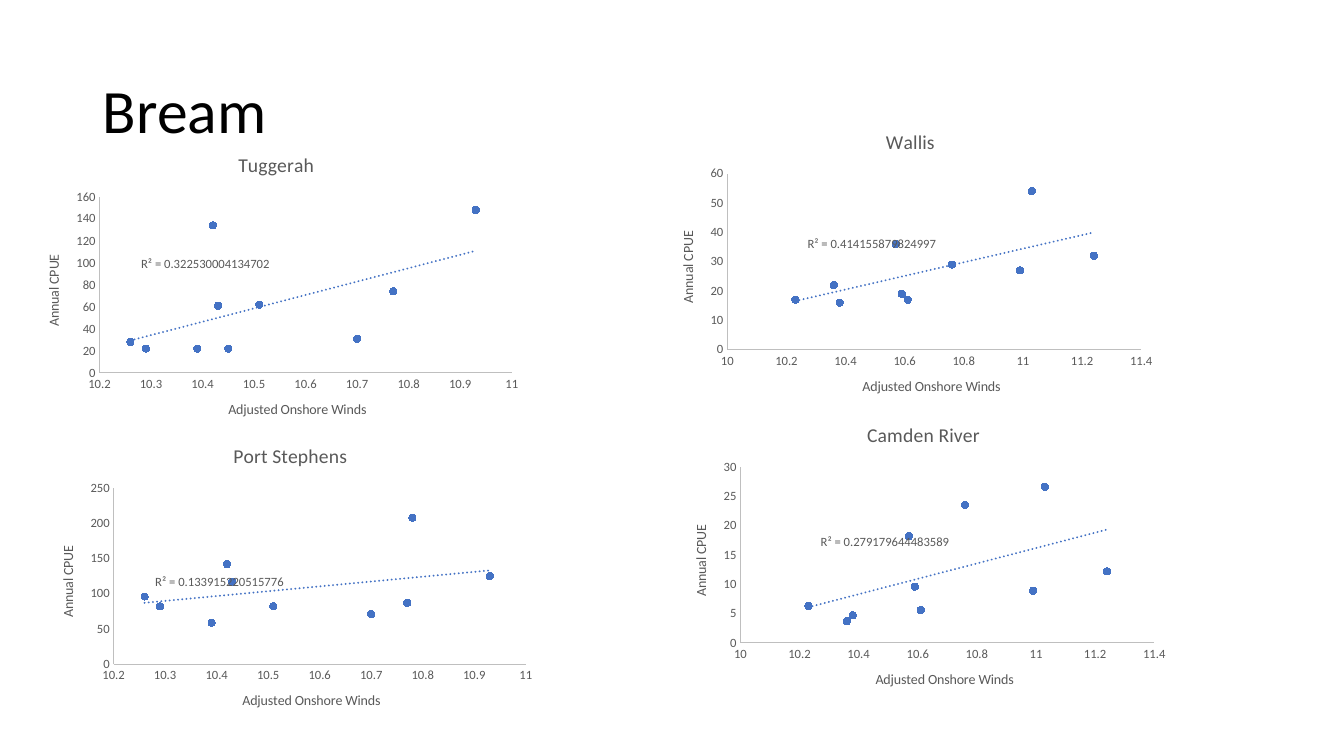
from lxml.etree import fromstring
from pptx import Presentation
from pptx.chart.data import XyChartData
from pptx.dml.color import RGBColor
from pptx.enum.chart import XL_CHART_TYPE, XL_MARKER_STYLE, XL_TICK_MARK
from pptx.enum.text import MSO_ANCHOR, PP_ALIGN
from pptx.oxml.ns import qn
from pptx.util import Inches, Pt

BLACK = RGBColor(0x00, 0x00, 0x00)
GREY = RGBColor(0x59, 0x59, 0x59)
AXIS_GREY = RGBColor(0xBF, 0xBF, 0xBF)
BLUE = RGBColor(0x44, 0x72, 0xC4)
FONT = "Calibri"
CHART_WIDTH, CHART_HEIGHT = Inches(5), Inches(3)
FIT_WIDTH, FIT_HEIGHT = Inches(1.5), Inches(0.2)

SOUTH_RANGE = (10.2, 11, 0.1)
NORTH_RANGE = (10, 11.4, 0.2)
NORTH_WINDS = (10.61, 10.23, 10.38, 10.36, 10.99, 11.24, 10.59, 10.57, 10.76, 11.03)
ESTUARIES = [
    ("Tuggerah", (0.24, 1.35), "0.322530004134702", (1.16, 1.16),
     SOUTH_RANGE, (0, 160, 20),
     (10.45, 10.7, 10.39, 10.26, 10.29, 10.77, 10.93, 10.43, 10.51, 10.42),
     (22, 31, 22, 28, 22, 74, 148, 61, 62, 134)),
    ("Wallis", (6.53, 1.12), "0.414155879824997", (1.48, 1.2),
     NORTH_RANGE, (0, 60, 10), NORTH_WINDS,
     (17, 17, 16, 22, 27, 32, 19, 36, 29, 54)),
    ("Port Stephens", (0.38, 4.24), "0.133915220515776", (1.16, 1.43),
     SOUTH_RANGE, (0, 250, 50),
     (10.7, 10.39, 10.26, 10.29, 10.77, 10.93, 10.43, 10.51, 10.42, 10.78),
     (71, 59, 96, 82, 87, 125, 117, 82, 142, 208)),
    ("Camden River", (6.66, 4.03), "0.279179644483589", (1.48, 1.24),
     NORTH_RANGE, (0, 30, 5), NORTH_WINDS,
     (5.6, 6.3, 4.7, 3.7, 8.9, 12.2, 9.6, 18.2, 23.5, 26.6)),
]

TRENDLINE = f"""
<c:trendline xmlns:c="http://schemas.openxmlformats.org/drawingml/2006/chart"
             xmlns:a="http://schemas.openxmlformats.org/drawingml/2006/main">
  <c:spPr><a:ln w="19050" cap="rnd">
    <a:solidFill><a:srgbClr val="{BLUE}"/></a:solidFill><a:prstDash val="sysDot"/>
  </a:ln></c:spPr>
  <c:trendlineType val="linear"/><c:dispRSqr val="0"/><c:dispEq val="0"/>
</c:trendline>"""


def style_font(font, size, colour):
    font.name, font.size, font.bold = FONT, Pt(size), False
    font.color.rgb = colour


def add_span(frame, text, size, colour):
    span = frame.paragraphs[0].add_run()
    span.text = text
    style_font(span.font, size, colour)


def add_heading(page, text, box):
    title = page.shapes.title
    title.left, title.top, title.width, title.height = box
    frame = title.text_frame
    frame.word_wrap = True
    frame.vertical_anchor = MSO_ANCHOR.MIDDLE
    frame.paragraphs[0].alignment = PP_ALIGN.LEFT
    frame.paragraphs[0].line_spacing = 0.9
    add_span(frame, text, 44, BLACK)


def style_axis(axis, text, scale):
    axis.minimum_scale, axis.maximum_scale, axis.major_unit = scale
    axis.has_major_gridlines = False
    axis.major_tick_mark = axis.minor_tick_mark = XL_TICK_MARK.NONE
    axis.format.line.color.rgb = AXIS_GREY
    axis.format.line.width = Pt(0.75)
    style_font(axis.tick_labels.font, 9, GREY)
    add_span(axis.axis_title.text_frame, text, 10, GREY)


def style_series(series):
    series.format.line.fill.background()
    marker = series.marker
    marker.style, marker.size = XL_MARKER_STYLE.CIRCLE, 5
    marker.format.fill.solid()
    marker.format.fill.fore_color.rgb = BLUE
    marker.format.line.color.rgb = BLUE
    series._element.find(qn("c:xVal")).addprevious(fromstring(TRENDLINE))


def add_estuary_chart(page, box, name, wind_scale, catch_scale, winds, catches):
    data = XyChartData()
    points = data.add_series("Series 1")
    for wind, catch in zip(winds, catches):
        points.add_data_point(wind, catch)
    chart = page.shapes.add_chart(XL_CHART_TYPE.XY_SCATTER, *box, data).chart
    chart.has_legend = False
    style_font(chart.font, 10, BLACK)
    add_span(chart.chart_title.text_frame, name, 14, GREY)
    chart.plots[0].vary_by_categories = False
    style_series(chart.plots[0].series[0])
    style_axis(chart.category_axis, "Adjusted Onshore Winds", wind_scale)
    style_axis(chart.value_axis, "Annual CPUE", catch_scale)
    vertical_title = chart.value_axis.axis_title._element
    vertical_title.find(".//" + qn("a:bodyPr")).set("rot", "-5400000")


def add_fit_label(page, box, fit):
    frame = page.shapes.add_textbox(*box).text_frame
    frame.word_wrap = True
    frame.vertical_anchor = MSO_ANCHOR.MIDDLE
    frame.margin_left = frame.margin_right = 0
    frame.margin_top = frame.margin_bottom = 0
    add_span(frame, f"R² = {fit}", 9, GREY)


def build_bream_page(deck):
    page = deck.slides.add_slide(deck.slide_layouts[5])
    heading_box = [Inches(length) for length in (0.92, 0.4, 11.5, 1.45)]
    add_heading(page, "Bream", heading_box)
    for name, corner, fit, offset, *values in ESTUARIES:
        left, top = map(Inches, corner)
        right_shift, down_shift = map(Inches, offset)
        add_estuary_chart(page, (left, top, CHART_WIDTH, CHART_HEIGHT), name, *values)
        fit_box = (left + right_shift, top + down_shift, FIT_WIDTH, FIT_HEIGHT)
        add_fit_label(page, fit_box, fit)


def main():
    deck = Presentation()
    deck.slide_width, deck.slide_height = Inches(13.33), Inches(7.5)
    build_bream_page(deck)
    deck.save("out.pptx")


if __name__ == "__main__":
    main()
